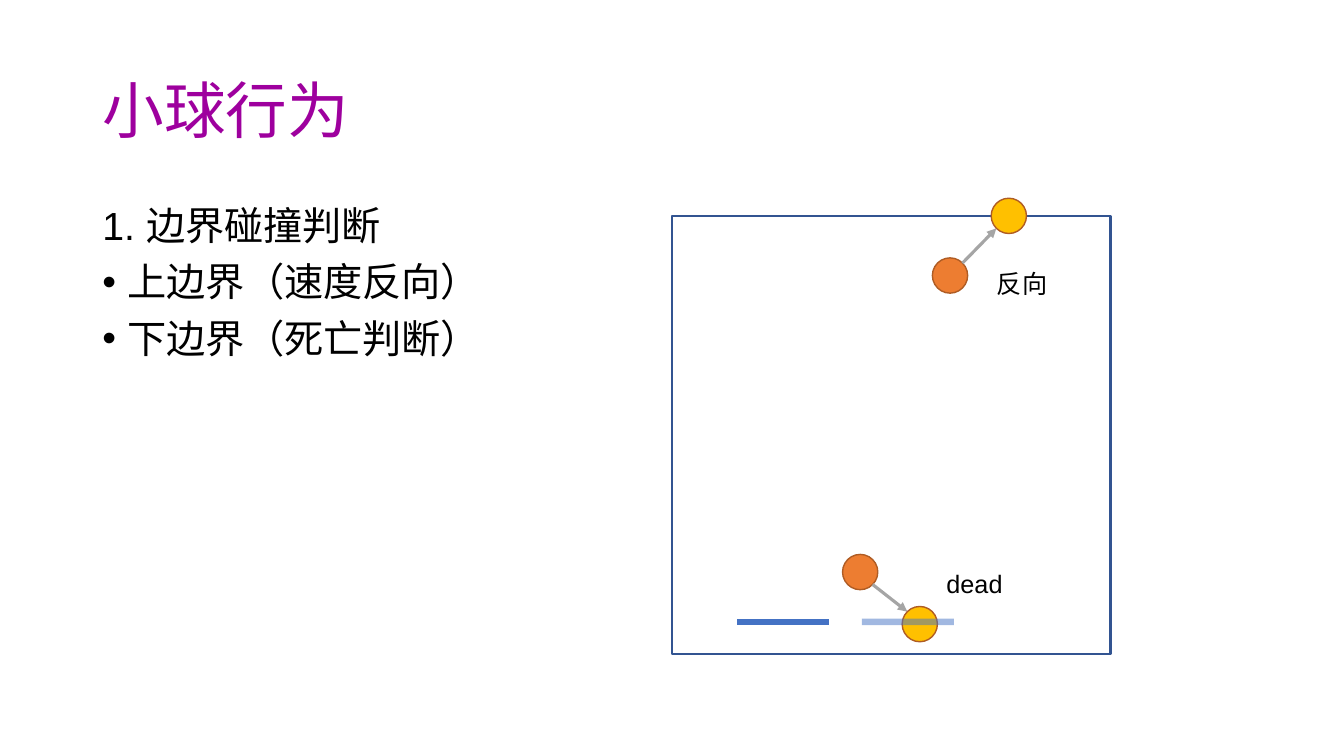
from dataclasses import dataclass
from math import sqrt

from lxml.etree import SubElement
from pptx import Presentation
from pptx.dml.color import RGBColor
from pptx.enum.shapes import MSO_CONNECTOR, MSO_SHAPE
from pptx.enum.text import MSO_ANCHOR, MSO_AUTO_SIZE, PP_ALIGN
from pptx.oxml.ns import qn
from pptx.shapes.autoshape import Shape
from pptx.shapes.connector import Connector
from pptx.slide import Slide
from pptx.text.text import TextFrame
from pptx.util import Emu, Inches, Pt

COLORS = {
    "title": "9E009E",
    "text": "000000",
    "court": "325491",
    "start": "ED7D31",
    "end": "FFC000",
    "outline": "AF5C24",
    "arrow": "A5A5A5",
    "paddle": "4472C4",
}
FONT = "Arial"
SLIDE_WIDTH, SLIDE_HEIGHT = Inches(13.333), Inches(7.5)
COLUMNS, ROWS = 160, 90
BALL_SIZE = 4.2
PADDLE_ROW, PADDLE_LENGTH = 74.04, 10.95


@dataclass(frozen=True)
class Point:
    column: float
    row: float


@dataclass(frozen=True)
class Area:
    column: float
    row: float
    columns: float
    rows: float


@dataclass(frozen=True)
class Move:
    start: Point
    end: Point


@dataclass(frozen=True)
class Paddle:
    column: float
    opacity: int


@dataclass(frozen=True)
class Label:
    text: str
    area: Area


@dataclass(frozen=True)
class Item:
    text: str
    bulleted: bool


TITLE_AREA = Area(11, 4.8, 138, 17.4)
LIST_AREA = Area(11, 24, 56, 57.1)
COURT = Area(80, 25.7, 52.2, 52.2)
ITEMS = [
    Item("1. 边界碰撞判断", False),
    Item("上边界（速度反向）", True),
    Item("下边界（死亡判断）", True),
]
MOVES = [
    Move(Point(113.1, 32.8), Point(120.1, COURT.row)),
    Move(Point(102.4, 68.1), Point(109.5, 74.3)),
]
PADDLES = [Paddle(87.8, 100), Paddle(102.6, 50)]
LABELS = [
    Label("dead", Area(111.5, 67.1, 9.1, 4.8)),
    Label("反向", Area(117.5, 31.3, 8.5, 4.8)),
]


def across(columns: float) -> Emu:
    return Emu(round(SLIDE_WIDTH * columns / COLUMNS))


def down(rows: float) -> Emu:
    return Emu(round(SLIDE_HEIGHT * rows / ROWS))


def color(name: str) -> RGBColor:
    return RGBColor.from_string(COLORS[name])


def place(shape: Shape, area: Area) -> None:
    shape.left, shape.top = across(area.column), down(area.row)
    shape.width, shape.height = across(area.columns), down(area.rows)


def format_text(frame: TextFrame, size: float, color_name: str) -> None:
    for para in frame.paragraphs:
        para.alignment = PP_ALIGN.LEFT
        for span in para.runs:
            span.font.name = FONT
            span.font.size = Pt(size)
            span.font.color.rgb = color(color_name)


def fill_title(page: Slide) -> None:
    title = page.shapes.title
    place(title, TITLE_AREA)
    frame = title.text_frame
    frame.text = "小球行为"
    frame.auto_size = MSO_AUTO_SIZE.NONE
    frame.vertical_anchor = MSO_ANCHOR.MIDDLE
    frame.paragraphs[0].line_spacing = 0.9
    format_text(frame, 44, "title")


def fill_list(page: Slide) -> None:
    body = page.placeholders[1]
    place(body, LIST_AREA)
    frame = body.text_frame
    frame.text = "\n".join(item.text for item in ITEMS)
    frame.auto_size = MSO_AUTO_SIZE.NONE
    format_text(frame, 28, "text")
    for para, item in zip(frame.paragraphs, ITEMS):
        para.line_spacing = 0.9
        para.space_before = Pt(10)
        indent = Inches(0.25) if item.bulleted else 0
        properties = para._p.get_or_add_pPr()
        properties.set("marL", str(indent))
        properties.set("indent", str(-indent))
        if item.bulleted:
            SubElement(properties, qn("a:buFont"), typeface=FONT)
            SubElement(properties, qn("a:buChar"), char="•")
        else:
            SubElement(properties, qn("a:buNone"))


def add_line(page: Slide, start: Point, end: Point, color_name: str, width: float) -> Connector:
    line = page.shapes.add_connector(
        MSO_CONNECTOR.STRAIGHT,
        across(start.column), down(start.row), across(end.column), down(end.row),
    )
    line.line.color.rgb = color(color_name)
    line.line.width = Pt(width)
    SubElement(line._element.spPr, qn("a:effectLst"))
    return line


def add_court(page: Slide) -> None:
    court = page.shapes.add_shape(MSO_SHAPE.RECTANGLE, 0, 0, 0, 0)
    place(court, COURT)
    court.shadow.inherit = False
    court.fill.background()
    court.line.color.rgb = color("court")
    court.line.width = Pt(1.5)


def add_ball(page: Slide, center: Point, color_name: str) -> None:
    ball = page.shapes.add_shape(MSO_SHAPE.OVAL, 0, 0, 0, 0)
    radius = BALL_SIZE / 2
    place(ball, Area(center.column - radius, center.row - radius, BALL_SIZE, BALL_SIZE))
    ball.shadow.inherit = False
    ball.fill.solid()
    ball.fill.fore_color.rgb = color(color_name)
    ball.line.color.rgb = color("outline")
    ball.line.width = Pt(1)


def add_move(page: Slide, move: Move) -> None:
    add_ball(page, move.start, "start")
    reach = BALL_SIZE / 2 / sqrt(2)
    rise = reach if move.end.row > move.start.row else -reach
    arrow = add_line(
        page,
        Point(move.start.column + reach, move.start.row + rise),
        Point(move.end.column - reach, move.end.row - rise),
        "arrow", 2.25,
    )
    SubElement(arrow.line._get_or_add_ln(), qn("a:tailEnd"), type="triangle")
    add_ball(page, move.end, "end")


def add_paddle(page: Slide, paddle: Paddle) -> None:
    start = Point(paddle.column, PADDLE_ROW)
    end = Point(paddle.column + PADDLE_LENGTH, PADDLE_ROW)
    line = add_line(page, start, end, "paddle", 4.5)
    if paddle.opacity < 100:
        tint = line._element.spPr.find(".//" + qn("a:srgbClr"))
        SubElement(tint, qn("a:alpha"), val=str(paddle.opacity * 1000))


def add_label(page: Slide, label: Label) -> None:
    box = page.shapes.add_textbox(0, 0, 0, 0)
    place(box, label.area)
    frame = box.text_frame
    frame.text = label.text
    frame.word_wrap = False
    frame.auto_size = MSO_AUTO_SIZE.SHAPE_TO_FIT_TEXT
    format_text(frame, 18, "text")


def main() -> None:
    deck = Presentation()
    deck.slide_width, deck.slide_height = SLIDE_WIDTH, SLIDE_HEIGHT
    page = deck.slides.add_slide(deck.slide_layouts[1])
    fill_title(page)
    fill_list(page)
    add_court(page)
    for move in MOVES:
        add_move(page, move)
    for paddle in PADDLES:
        add_paddle(page, paddle)
    for label in LABELS:
        add_label(page, label)
    deck.save("out.pptx")


if __name__ == "__main__":
    main()
